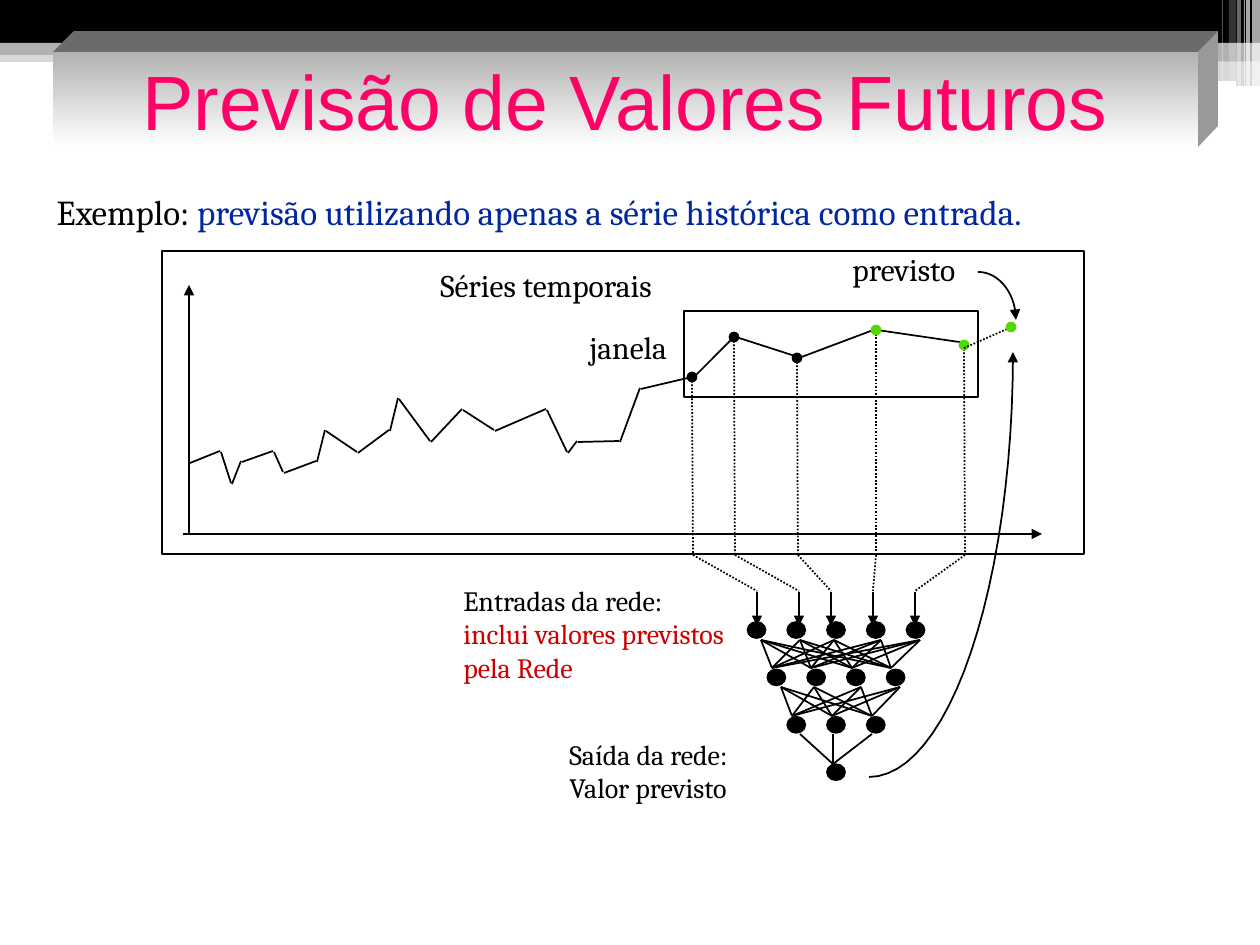
from itertools import pairwise, product
from math import cos, pi, sin

from lxml import etree
from pptx import Presentation
from pptx import util as u
from pptx.dml.color import RGBColor
from pptx.enum import dml, shapes, text
from pptx.oxml.ns import qn

BLACK = RGBColor(0x00, 0x00, 0x00)
WHITE = RGBColor(0xFF, 0xFF, 0xFF)
SILVER = RGBColor(0xB2, 0xB2, 0xB2)
SIDE_GREY = RGBColor(0x99, 0x99, 0x99)
TOP_GREY = RGBColor(0x6B, 0x6B, 0x6B)
GREEN = RGBColor(0x51, 0xDC, 0x00)
BLUE = RGBColor(0x00, 0x27, 0x9F)
RED = RGBColor(0xCC, 0x00, 0x00)
PINK = RGBColor(0xFF, 0x00, 0x66)

RECT = shapes.MSO_SHAPE.RECTANGLE
ROUNDED = shapes.MSO_SHAPE.ROUNDED_RECTANGLE
OVAL = shapes.MSO_SHAPE.OVAL


def px(length):
    return round(length * 914400 / 126)


class Sketch:
    """Style and drawing methods for one page; lengths are in pixels."""

    font = "Cambria"
    stroke = u.Pt(1)

    def __init__(self, page):
        self.page = page

    def paint(self, shape, fill=None, line=None, alpha=None):
        shape.shadow.inherit = False
        if fill is None:
            shape.fill.background()
        else:
            shape.fill.solid()
            shape.fill.fore_color.rgb = fill
        if alpha:
            colour = shape.element.spPr.find(".//" + qn("a:srgbClr"))
            etree.SubElement(colour, qn("a:alpha"), val=str(alpha * 1000))
        if line is None:
            shape.line.fill.background()
        else:
            self.pen(shape, line)
        return shape

    def pen(self, shape, colour=BLACK, dotted=False, head=False, tail=False):
        shape.line.color.rgb = colour
        shape.line.width = self.stroke
        if dotted:
            shape.line.dash_style = dml.MSO_LINE.ROUND_DOT
        outline = shape.element.spPr.find(qn("a:ln"))
        for wanted, tag in ((head, "a:headEnd"), (tail, "a:tailEnd")):
            if wanted:
                etree.SubElement(outline, qn(tag), type="triangle")

    def shape(self, kind, left, top, width, height, **paint):
        shape = self.page.shapes.add_shape(
            kind, px(left), px(top), px(width), px(height))
        return self.paint(shape, **paint)

    def oval(self, x, y, width, height, colour=BLACK):
        self.shape(OVAL, x - width / 2, y - height / 2, width, height,
                   fill=colour, line=colour)

    def line(self, start, end, **pen):
        line = self.page.shapes.add_connector(
            shapes.MSO_CONNECTOR.STRAIGHT, *map(px, (*start, *end)))
        self.pen(line, **pen)
        etree.SubElement(line.element.spPr, qn("a:effectLst"))

    def outline(self, points, close=False, fill=None, line=None):
        points = [(px(x), px(y)) for x, y in points]
        builder = self.page.shapes.build_freeform(*points[0])
        builder.add_line_segments(points[1:], close=close)
        return self.paint(builder.convert_to_shape(), fill, line)

    def arc(self, centre, radii, first, last, **pen):
        """Elliptic arc; angles in degrees, clockwise from the right."""
        steps = 24
        angles = [(first + (last - first) * i / steps) * pi / 180
                  for i in range(steps + 1)]
        curve = self.outline([(centre[0] + radii[0] * cos(a),
                               centre[1] + radii[1] * sin(a)) for a in angles])
        self.pen(curve, **pen)

    def span(self, para, words, size, colour=BLACK, font=None):
        span = para.add_run()
        span.text = words
        span.font.size = u.Pt(size)
        span.font.name = font or self.font
        span.font.color.rgb = colour

    def text(self, left, top, width, height, paras, wrap=False, spacing=None):
        box = self.page.shapes.add_textbox(
            px(left), px(top), px(width), px(height))
        frame = box.text_frame
        frame.word_wrap = wrap
        frame.auto_size = text.MSO_AUTO_SIZE.SHAPE_TO_FIT_TEXT
        for i, spans in enumerate(paras):
            para = frame.add_paragraph() if i else frame.paragraphs[0]
            if spacing:
                para.line_spacing = spacing
            for span in spans:
                self.span(para, *span)


deck = Presentation()
deck.slide_width, deck.slide_height = px(1260), px(945)
page = deck.slides.add_slide(deck.slide_layouts[6])
sketch = Sketch(page)

# Header bands
for left, top, width, height, colour, alpha in (
        (0, 50, 1260, 12, SILVER, 50), (0, 0, 1260, 43, BLACK, None),
        (0, 43, 1260, 12, SILVER, None), (746, 49, 514, 12, SILVER, None),
        (746, 61, 514, 25, SILVER, 50)):
    sketch.shape(RECT, left, top, width, height, fill=colour, alpha=alpha)
for left, top, width, height in ((745, 68, 422, 4), (1016, 81, 220, 5)):
    sketch.shape(ROUNDED, left, top, width, height, fill=WHITE)
for left, width, height, alpha in (
        (1252, 8, 86, 65), (1246, 4, 86, 65), (1244, 1, 86, 60),
        (1237, 4, 86, 40), (1229, 7, 81, 20), (1222, 1, 81, 30)):
    sketch.shape(RECT, left, 0, width, height, fill=WHITE, alpha=alpha)

# Chart frame and axes
sketch.shape(RECT, 162, 251, 922, 303, line=BLACK)
sketch.line((189, 285), (189, 534), head=True)
sketch.line((183, 534), (1042, 534), tail=True)

# Time series
series = [(189, 462), (220, 451), (231, 483), (241, 461), (273, 451),
          (283, 472), (316, 461), (325, 430), (357, 452), (389, 430),
          (398, 398), (430, 441), (462, 409), (494, 430), (546, 409),
          (567, 452), (577, 441), (619, 441), (640, 388), (692, 377),
          (735, 336), (798, 357), (876, 329), (966, 343)]
for (x, y), end in pairwise(series):
    sketch.line((x + 1, y + 1), end)

# Window, and the path of each value down to a network input
sketch.shape(RECT, 684, 311, 294, 86, line=BLACK)
for x, y, foot, slot, colour in (
        (692, 377, 693, 757, BLACK), (734, 337, 735, 799, BLACK),
        (797, 358, 798, 831, BLACK), (876, 330, 876, 873, GREEN),
        (964, 345, 965, 915, GREEN)):
    sketch.line((x, y + 4), (foot, 555), dotted=True)
    sketch.line((foot, 555), (slot, 591), dotted=True)
    sketch.line((slot, 592), (slot, 626), tail=True)
    sketch.oval(x, y, 9, 9, colour)
sketch.line((964, 348), (1014, 326), dotted=True)
sketch.oval(1011, 327, 9, 9, GREEN)

# Network nodes
for row, count in enumerate((5, 4, 3, 1)):
    for i in range(count):
        sketch.oval(836 + 39.75 * (i - (count - 1) / 2),
                    630 + 47.4 * row, 18, 16)

# Network links
for sources, top, targets, bottom in (
        ((761, 800, 834, 881, 920), 640, (772, 811, 852, 891), 668),
        ((781, 814, 861, 900), 687, (792, 832, 872), 716),
        ((800, 833, 872), 734, (833,), 764)):
    for source, target in product(sources, targets):
        sketch.line((source, top), (target, bottom))

# Curved arrows to the predicted value
sketch.arc((978, 320), (38, 48), -90, 0, tail=True)
sketch.arc((869, 352), (144, 425), 0, 90, head=True)

# Labels
sketch.text(428, 260, 278, 50, [[("Séries temporais", 18)]])
sketch.text(577, 322, 108, 50, [[("janela", 18)]])
sketch.text(840, 244, 147, 50, [[("previsto", 18)]])
sketch.text(557, 731, 217, 79,
            [[("Saída da rede:", 16)], [("Valor previsto", 16)]])
sketch.text(451, 577, 305, 113,
            [[("Entradas da rede:", 16)],
             [("inclui valores previstos pela Rede", 16, RED)]], wrap=True)
sketch.text(32, 147, 1187, 95,
            [[(" ", 28, BLUE, "Times New Roman"), ("Exemplo:", 20),
              (" previsão utilizando apenas a série histórica como entrada.",
               20, BLUE)]], wrap=True, spacing=1.4)

# Title block with its top and right faces
sketch.outline([(53, 52), (74, 31), (1218, 31), (1198, 52)],
               close=True, fill=TOP_GREY)
sketch.outline([(1198, 52), (1218, 31), (1218, 126), (1198, 147)],
               close=True, fill=SIDE_GREY)
title = sketch.shape(RECT, 53, 52, 1145, 95)
title.fill.gradient()
title.fill.gradient_angle = 270
for stop, colour, position in zip(
        title.fill.gradient_stops, (SILVER, WHITE), (0, 1)):
    stop.color.rgb = colour
    stop.position = position
title.text_frame.vertical_anchor = text.MSO_ANCHOR.MIDDLE
heading = title.text_frame.paragraphs[0]
heading.alignment = text.PP_ALIGN.CENTER
sketch.span(heading, "Previsão de Valores Futuros", 44, PINK, "Arial")

deck.save("out.pptx")
